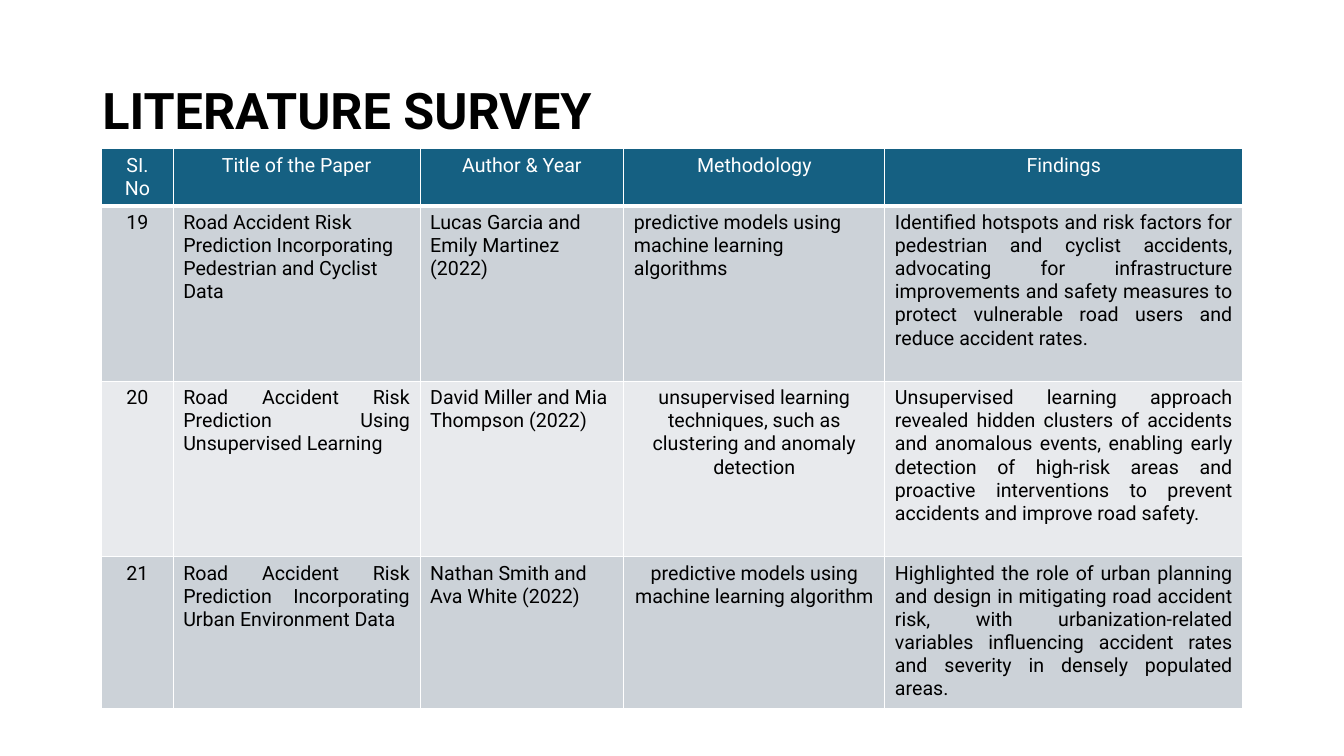
import pptx
import pptx.dml.color
import pptx.enum.text
import pptx.oxml
import pptx.oxml.ns
import pptx.util

Pt = pptx.util.Pt
RGBColor = pptx.dml.color.RGBColor
ALIGN = pptx.enum.text.PP_ALIGN

FONT = "Roboto"
BLACK = RGBColor(0x00, 0x00, 0x00)
WHITE = RGBColor(0xFF, 0xFF, 0xFF)
HEADER_FILL = RGBColor(0x15, 0x60, 0x82)
BAND_FILLS = (RGBColor(0xCC, 0xD2, 0xD8), RGBColor(0xE8, 0xEA, 0xED))

COLUMN_WIDTHS = (51, 176.4, 145.5, 186.5, 255.6)
ROW_HEIGHTS = (40, 125.3, 125.3, 108.7)

HEADINGS = ("SI. No", "Title of the Paper", "Author & Year", "Methodology", "Findings")
PAPERS = (
    ("19",
     "Road Accident Risk Prediction Incorporating Pedestrian and Cyclist Data",
     "Lucas Garcia and Emily Martinez (2022)",
     "predictive models using machine learning algorithms",
     "Identified hotspots and risk factors for pedestrian and cyclist accidents, "
     "advocating for infrastructure improvements and safety measures to protect "
     "vulnerable road users and reduce accident rates."),
    ("20",
     "Road Accident Risk Prediction Using Unsupervised Learning",
     "David Miller and Mia Thompson (2022)",
     "unsupervised learning techniques, such as clustering and anomaly detection",
     "Unsupervised learning approach revealed hidden clusters of accidents and "
     "anomalous events, enabling early detection of high-risk areas and proactive "
     "interventions to prevent accidents and improve road safety."),
    ("21",
     "Road Accident Risk Prediction Incorporating Urban Environment Data",
     "Nathan Smith and Ava White (2022)",
     "predictive models using machine learning algorithm",
     "Highlighted the role of urban planning and design in mitigating road accident "
     "risk, with urbanization-related variables influencing accident rates and "
     "severity in densely populated areas."),
)

# Column alignments: header row, first paper, remaining papers
HEADER_ALIGN = (ALIGN.CENTER,) * 5
FIRST_ALIGN = (ALIGN.CENTER, ALIGN.LEFT, ALIGN.LEFT, ALIGN.LEFT, ALIGN.JUSTIFY)
OTHER_ALIGN = (ALIGN.CENTER, ALIGN.JUSTIFY, ALIGN.LEFT, ALIGN.CENTER, ALIGN.JUSTIFY)
ROW_ALIGNS = (HEADER_ALIGN, FIRST_ALIGN, OTHER_ALIGN, OTHER_ALIGN)


def style_text(p, size, color, align, bold=False):
    p.alignment = align
    p.font.name = FONT
    p.font.size = Pt(size)
    p.font.bold = bold
    p.font.color.rgb = color


def add_borders(cell, bottom):
    tcPr = cell._tc.get_or_add_tcPr()
    for side, width in (("L", 1), ("R", 1), ("T", 1), ("B", bottom)):
        tcPr.append(pptx.oxml.parse_xml(
            f'<a:ln{side} {pptx.oxml.ns.nsdecls("a")} w="{Pt(width)}">'
            f'<a:solidFill><a:srgbClr val="{WHITE}"/></a:solidFill></a:ln{side}>'))


def add_title(s, left, top, width, height):
    tf = s.shapes.add_textbox(Pt(left), Pt(top), Pt(width), Pt(height)).text_frame
    tf.word_wrap = True
    tf.vertical_anchor = pptx.enum.text.MSO_ANCHOR.MIDDLE
    p = tf.paragraphs[0]
    p.text = "LITERATURE SURVEY"
    p.line_spacing = 0.9
    style_text(p, 36, BLACK, ALIGN.LEFT, bold=True)


def add_survey_table(s, left, top, width, height):
    rows = (HEADINGS,) + PAPERS
    table = s.shapes.add_table(len(rows), len(HEADINGS),
                               Pt(left), Pt(top), Pt(width), Pt(height)).table
    # Column and row sizes share out the box
    for column, share in zip(table.columns, COLUMN_WIDTHS):
        column.width = Pt(width * share / sum(COLUMN_WIDTHS))
    for row, share in zip(table.rows, ROW_HEIGHTS):
        row.height = Pt(height * share / sum(ROW_HEIGHTS))

    # Cells
    for i, (texts, aligns) in enumerate(zip(rows, ROW_ALIGNS)):
        header = i == 0
        for j, (text, align) in enumerate(zip(texts, aligns)):
            cell = table.cell(i, j)
            add_borders(cell, bottom=3 if header else 1)
            cell.fill.solid()
            cell.fill.fore_color.rgb = HEADER_FILL if header else BAND_FILLS[(i - 1) % 2]
            p = cell.text_frame.paragraphs[0]
            p.text = text
            style_text(p, 14, WHITE if header else BLACK, align)


def main():
    prs = pptx.Presentation()
    prs.slide_width, prs.slide_height = Pt(960), Pt(540)
    s = prs.slides.add_slide(prs.slide_layouts[6])
    add_title(s, 66, 28.75, 828, 104.4)
    add_survey_table(s, 72.7, 106.2, sum(COLUMN_WIDTHS), sum(ROW_HEIGHTS))
    prs.save("out.pptx")


if __name__ == "__main__":
    main()
